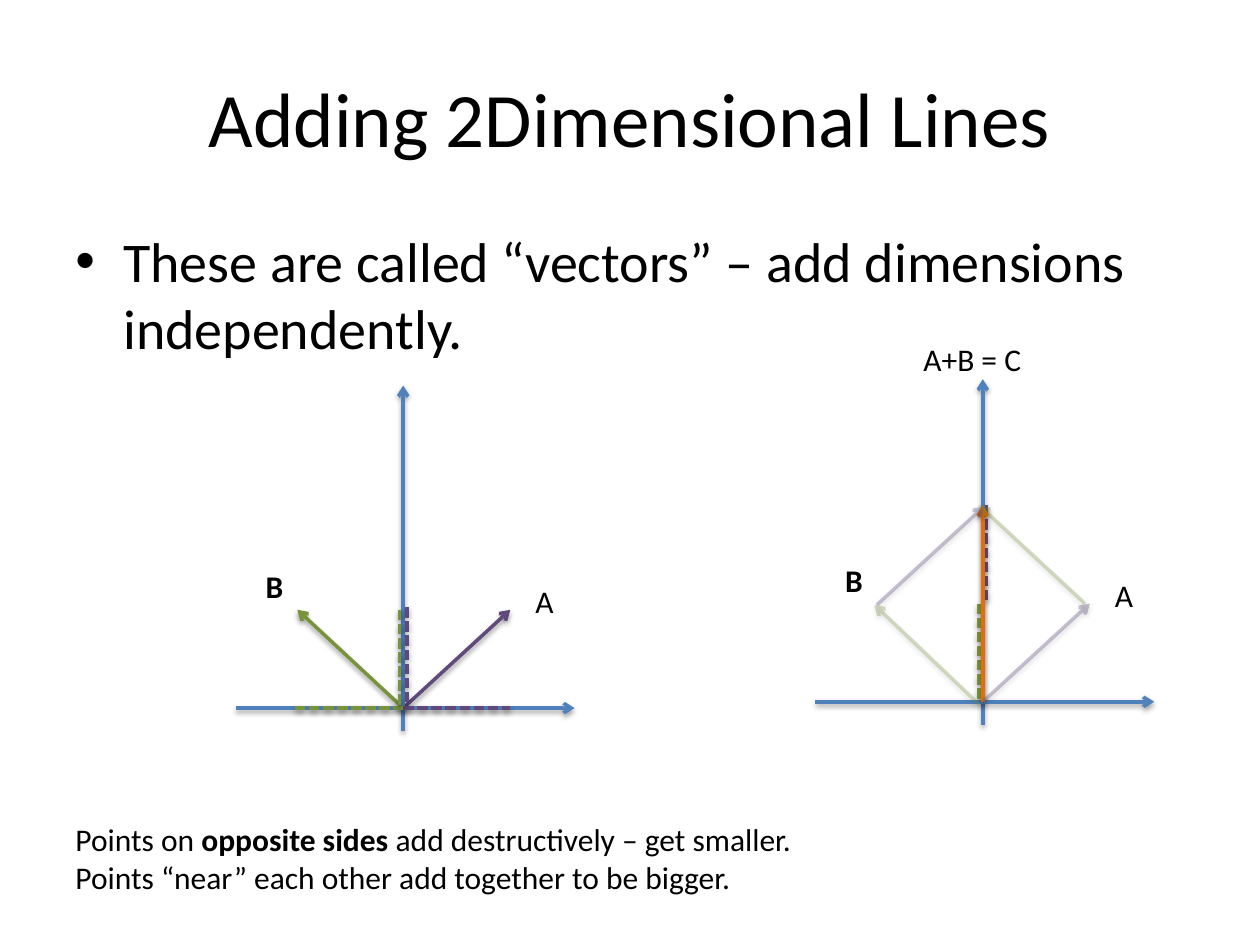
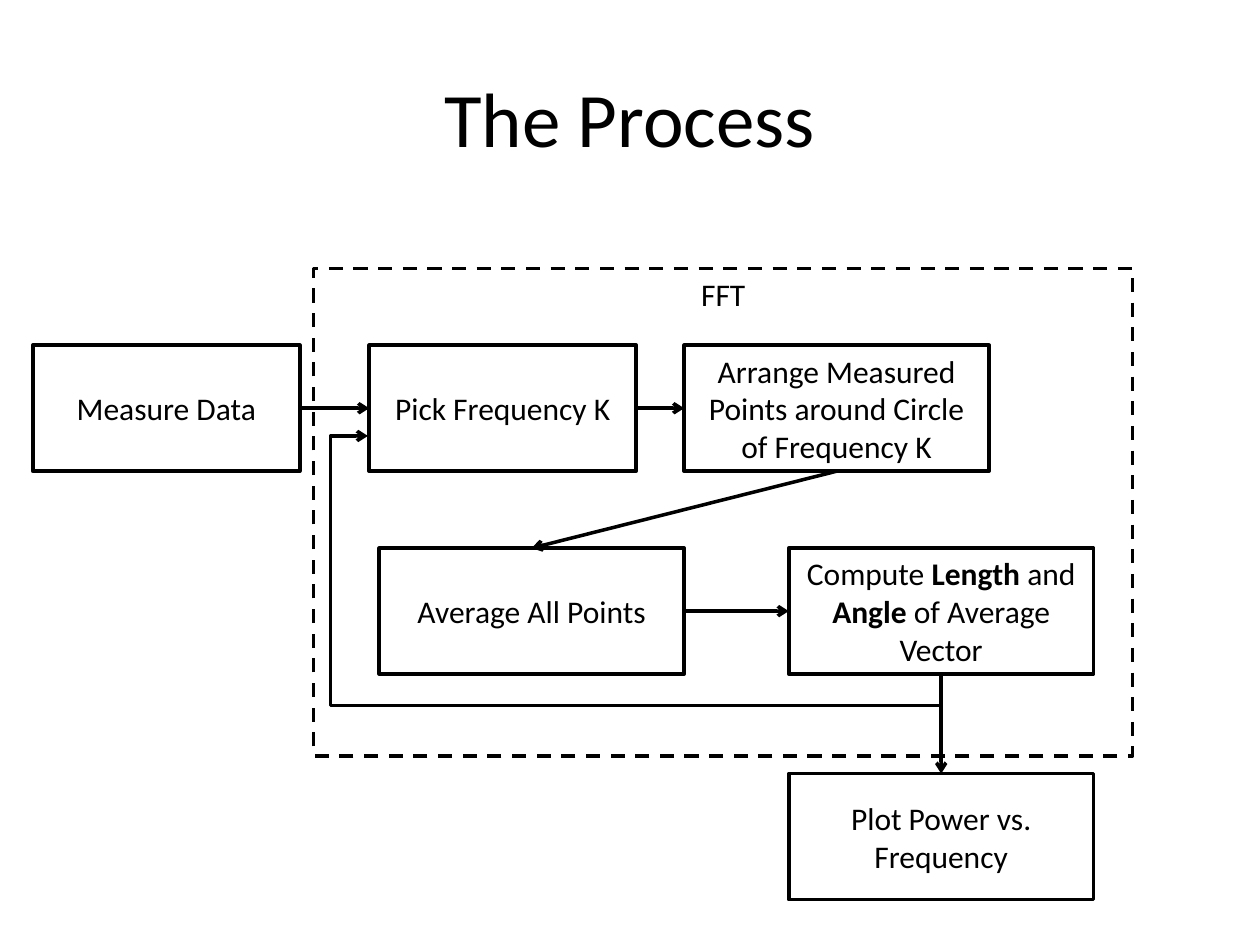
from lxml.etree import SubElement
from pptx import Presentation
from pptx.dml.color import RGBColor
from pptx.enum.dml import MSO_LINE as Dash
from pptx.enum.shapes import MSO_CONNECTOR as Link, MSO_SHAPE as Shape
from pptx.enum.text import MSO_ANCHOR as Anchor, PP_ALIGN as Align
from pptx.oxml.ns import qn
from pptx.util import Inches, Pt

# Shared look: a square grid of 100 columns by 75 rows
deck = Presentation()
deck.slide_width, deck.slide_height = Inches(10), Inches(7.5)
CELL = deck.slide_width / 100
FONT = "Calibri"
BLACK, WHITE = "000000", "FFFFFF"
BLUE, GREEN, PURPLE, ORANGE = "4F81BD", "77933C", "604A7B", "E46C0A"
TOP, LEFT, BOTTOM, RIGHT = range(4)
hex_colour = RGBColor.from_string


def write(frame, text, size=18, align=Align.LEFT):
    """Fill a text frame; parts between asterisks are bold."""
    for i, line in enumerate(text.split("\n")):
        paragraph = frame.paragraphs[0] if i == 0 else frame.add_paragraph()
        paragraph.alignment = align
        for j, part in enumerate(line.split("*")):
            if part:
                run = paragraph.add_run()
                run.text = part
                run.font.name, run.font.size = FONT, Pt(size)
                run.font.bold = j % 2 == 1
                run.font.color.rgb = hex_colour(BLACK)


def draw_line(slide, start, end, colour=BLACK, arrow=True, dashed=False,
              opacity=100, shadow=False, kind=Link.STRAIGHT):
    """Draw a connector between two grid points."""
    link = slide.shapes.add_connector(
        kind, *(round(n * CELL) for n in (*start, *end)))
    link.line.width = Pt(2)
    link.line.color.rgb = hex_colour(colour)
    if dashed:
        link.line.dash_style = Dash.SQUARE_DOT
    properties = link._element.spPr
    stroke = properties.find(qn("a:ln"))
    if opacity < 100:
        SubElement(stroke.find(".//" + qn("a:srgbClr")), qn("a:alpha"),
                   val=str(opacity * 1000))
    if arrow:
        SubElement(stroke, qn("a:tailEnd"), type="arrow")
    effects = SubElement(properties, qn("a:effectLst"))
    if shadow:
        cast = SubElement(effects, qn("a:outerShdw"), blurRad=str(Pt(3.1)),
                          dist=str(Pt(1.6)), dir="5400000", rotWithShape="0")
        tint = SubElement(cast, qn("a:srgbClr"), val=BLACK)
        SubElement(tint, qn("a:alpha"), val="38000")
    return link


# Both slides with their titles
slides = []
for heading in ("Adding 2Dimensional Lines", "The Process"):
    slide = deck.slides.add_slide(deck.slide_layouts[5])
    title = slide.shapes.title
    title.left, title.top, title.width, title.height = (
        round(n * CELL) for n in (5, 3, 90, 12.5))
    title.text_frame.vertical_anchor = Anchor.MIDDLE
    write(title.text_frame, heading, 44, Align.CENTER)
    slides.append(slide)
vectors, process = slides

# Slide 1: bullet
body = vectors.shapes.add_textbox(
    *(round(n * CELL) for n in (5, 17.5, 90, 49.5))).text_frame
body.word_wrap = True
indent = str(Inches(0.38))
bullet = body.paragraphs[0]._p.get_or_add_pPr()
bullet.set("marL", indent)
bullet.set("indent", "-" + indent)
SubElement(bullet, qn("a:buFont"), typeface="Arial")
SubElement(bullet, qn("a:buChar"), char="•")
write(body, "These are called “vectors” – add dimensions independently.", 32)

# Slide 1: two plots, each line given from its plot's origin
axes = [((0, 1.8), (0, -25.6), BLUE, True, False, 100),
        ((-13.3, 0), (13.6, 0), BLUE, True, False, 100)]
parts = [
    ((0, 0), (-8.4, -7.8), GREEN, True, False, 100),
    ((0, 0), (8.5, -7.8), PURPLE, True, False, 100),
    *axes,
    ((0, 0), (8.5, 0), PURPLE, False, True, 100),
    ((0.3, -8), (0.3, -0.2), PURPLE, False, True, 100),
    ((-8.6, 0), (0, 0), GREEN, False, True, 100),
    ((-0.3, -7.8), (-0.3, 0), GREEN, False, True, 100),
]
total = [
    *axes,
    ((0.3, -15.6), (0.3, -7.8), PURPLE, False, True, 100),
    ((-0.3, -7.8), (-0.3, 0), GREEN, False, True, 100),
    ((0, 0), (0, -15.6), ORANGE, True, False, 100),
    ((0, 0), (8.5, -7.8), PURPLE, True, False, 33),
    ((-8.4, -7.7), (0.1, -15.5), PURPLE, True, False, 33),
    ((8.1, -7.8), (-0.3, -15.6), GREEN, True, False, 29),
    ((-0.3, 0.2), (-8.6, -7.7), GREEN, True, False, 29),
]
captions = [(5, 64.6, 59.8, 7.1,
             "Points on *opposite sides *add destructively – get smaller.\n"
             "Points “near” each other add together to be bigger."),
            (72.3, 26.5, 9.9, 4, "A+B = C")]
for (x0, y0), plot in (((32, 56.2), parts), ((78, 55.7), total)):
    for (x1, y1), (x2, y2), *style in plot:
        draw_line(vectors, (x0 + x1, y0 + y1), (x0 + x2, y0 + y2), *style,
                  shadow=True)
    captions += [(x0 + 9.5, y0 - 10.5, 3.5, 4, "A"),
                 (x0 - 11.9, y0 - 11.7, 3.4, 4, "*B*")]

# Slide 1: labels and closing remark
for *place, words in captions:
    caption = vectors.shapes.add_textbox(*(round(n * CELL) for n in place))
    caption.text_frame.word_wrap = False
    write(caption.text_frame, words)

# Slide 2: steps on three rows, then the frame around the FFT
ROWS = (27.4, 43.5, 61.4)
NARROW, WIDE, TALL = 21.2, 24.2, 10
steps = []
for left, top, width, height, words in (
        (2.6, ROWS[0], NARROW, TALL, "Measure Data"),
        (29.3, ROWS[0], NARROW, TALL, "Pick Frequency K"),
        (54.3, ROWS[0], WIDE, TALL,
         "Arrange Measured Points around Circle of Frequency K"),
        (30.1, ROWS[1], WIDE, TALL, "Average All Points"),
        (62.6, ROWS[1], WIDE, TALL,
         "Compute *Length* and *Angle* of Average Vector"),
        (62.6, ROWS[2], WIDE, TALL, "Plot Power vs. Frequency"),
        (24.9, 21.3, 65, 38.7, "FFT")):
    step = process.shapes.add_shape(
        Shape.RECTANGLE,
        *(round(n * CELL) for n in (left, top, width, height)))
    step.shadow.inherit = False
    step.line.color.rgb = hex_colour(BLACK)
    step.line.width = Pt(2)
    if words == "FFT":
        step.fill.background()
        step.line.dash_style = Dash.DASH
        step.text_frame.vertical_anchor = Anchor.TOP
    else:
        step.fill.solid()
        step.fill.fore_color.rgb = hex_colour(WHITE)
        step.text_frame.vertical_anchor = Anchor.MIDDLE
    step.text_frame.word_wrap = True
    write(step.text_frame, words, align=Align.CENTER)
    steps.append(step)
measure, pick, arrange, average, compute, power, fft = steps

# Slide 2: arrows from step to step
for source, out_side, target, in_side in (
        (measure, RIGHT, pick, LEFT), (pick, RIGHT, arrange, LEFT),
        (arrange, BOTTOM, average, TOP), (average, RIGHT, compute, LEFT),
        (compute, BOTTOM, power, TOP)):
    arrow = draw_line(process, (0, 0), (1, 1))
    arrow.begin_connect(source, out_side)
    arrow.end_connect(target, in_side)

# Slide 2: loop back to the next frequency, a four-part elbow turned a quarter
loop = draw_line(process, (61.4, 21.3), (42.5, 66.8), kind=Link.ELBOW)
loop_outline = loop._element.spPr
loop_outline.find(qn("a:xfrm")).set("rot", "5400000")
elbow = loop_outline.find(qn("a:prstGeom"))
elbow.set("prst", "bentConnector4")
bends = elbow.find(qn("a:avLst"))
if bends is None:
    bends = SubElement(elbow, qn("a:avLst"))
for name, share in (("adj1", -13200), ("adj2", 106500)):
    SubElement(bends, qn("a:gd"), name=name, fmla=f"val {share}")

deck.save("out.pptx")
